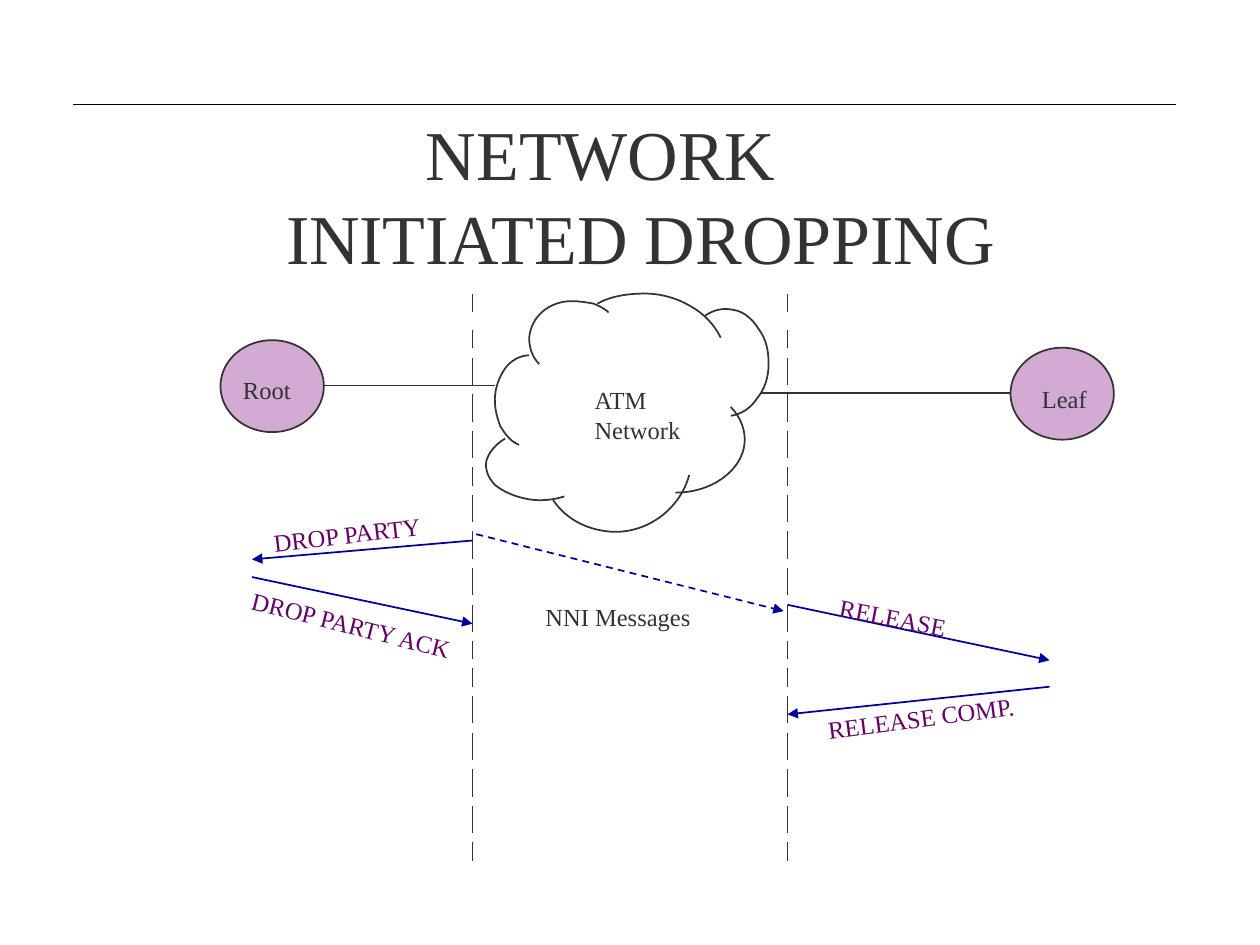
from itertools import accumulate
from math import atan2, ceil, cos, pi, sin, tan, tau

from lxml.etree import SubElement
from pptx import Presentation
from pptx.dml.color import RGBColor
from pptx.enum.dml import MSO_LINE
from pptx.enum.shapes import MSO_CONNECTOR, MSO_SHAPE
from pptx.enum.text import MSO_ANCHOR, MSO_AUTO_SIZE, PP_ALIGN
from pptx.oxml.ns import qn
from pptx.util import Pt

PX = 9144  # EMU per px, 100 px to the inch
WIDTH, HEIGHT = 1000, 750

BLACK = RGBColor(0x00, 0x00, 0x00)
CHARCOAL = RGBColor(0x33, 0x33, 0x33)
LILAC = RGBColor(0xD2, 0xAA, 0xD2)
NAVY = RGBColor(0x00, 0x00, 0x99)
PURPLE = RGBColor(0x66, 0x00, 0x66)

# title line, left indent
TITLE = [("NETWORK", 111), ("INITIATED DROPPING", 0)]
TITLE_BOX = (217, 83, 589, 144)
HEADER_RULE = (58, 83, 933, 83)

# each boundary is a column of dashes; dash lengths are in units
BOUNDARIES = [375, 625]
BOUNDARY_TOP, BOUNDARY_HEIGHT = 233, 450
DASHES = [2, 2, 3, 3, 3, 2, 3, 3, 3, 3, 2, 2, 3, 3, 3, 3, 2]
GAPS = [0, 2] + [1] * (len(DASHES) - 2)

# ellipse box, then the clockwise start and end points of the arc on it
CLOUD_ARCS = [
    ((420, 239, 68, 61), (428, 289), (454, 239)),
    ((393, 282, 54, 73), (412, 353), (420, 282)),
    ((420, 239, 68, 36), (454, 239), (483, 248)),
    ((441, 233, 136, 110), (474, 241), (572, 268)),
    ((386, 342, 86, 55), (449, 395), (402, 349)),
    ((427, 300, 122, 122), (547, 377), (439, 397)),
    ((482, 306, 109, 85), (579, 323), (536, 391)),
    ((542, 245, 68, 85), (559, 252), (580, 330)),
]

NODES = [(175, 270, 82, 73), (802, 276, 82, 73)]
LINKS = [(257, 306, 393, 306), (802, 312, 604, 312)]

NNI_MESSAGE = (378, 424, 622, 485)
SIGNALS = [
    (833, 545, 625, 567),
    (375, 429, 200, 444),
    (200, 458, 375, 495),
    (625, 480, 833, 524),
]

# lines, box, rotation, colour
LABELS = [
    (["ATM", "Network"], (462, 301, 92, 57), 0, CHARCOAL),
    (["Root"], (183, 293, 64, 34), 0, CHARCOAL),
    (["Leaf"], (817, 300, 62, 34), 0, CHARCOAL),
    (["NNI Messages"], (423, 473, 140, 34), 0, CHARCOAL),
    (["RELEASE"], (656, 474, 112, 34), 10.7, PURPLE),
    (["DROP PARTY"], (207, 407, 141, 34), -6.6, PURPLE),
    (["DROP PARTY ACK"], (188, 480, 187, 34), 14.3, PURPLE),
    (["RELEASE COMP."], (647, 553, 170, 34), -7.2, PURPLE),
]

TITLE_FRAME = {"word_wrap": True, "auto_size": MSO_AUTO_SIZE.NONE,
               "vertical_anchor": MSO_ANCHOR.TOP}
LABEL_FRAME = {"word_wrap": True, "auto_size": MSO_AUTO_SIZE.NONE,
               "vertical_anchor": MSO_ANCHOR.TOP}


def emu(lengths):
    return [round(length * PX) for length in lengths]


def apply(target, values):
    for name, value in values.items():
        setattr(target, name, value)


def write(frame, lines, size, color, frame_format):
    """Put one paragraph per line into the frame and return the paragraphs."""
    apply(frame, frame_format)
    frame.text = "\n".join(lines)
    for paragraph in frame.paragraphs:
        paragraph.alignment = PP_ALIGN.LEFT
        apply(paragraph.font, {"name": "Times New Roman", "size": Pt(size)})
        paragraph.font.color.rgb = color
    return frame.paragraphs


def add_title(slide):
    title = slide.shapes.title
    apply(title, dict(zip(("left", "top", "width", "height"), emu(TITLE_BOX))))
    lines = [line for line, _ in TITLE]
    paragraphs = write(title.text_frame, lines, 40, CHARCOAL, TITLE_FRAME)
    for paragraph, (_, indent) in zip(paragraphs, TITLE):
        paragraph._p.get_or_add_pPr().set("marL", str(indent * PX))


def add_line(slide, ends, color=CHARCOAL, width=1, arrow=False, dash=None):
    connector = slide.shapes.add_connector(MSO_CONNECTOR.STRAIGHT, *emu(ends))
    connector.line.color.rgb = color
    apply(connector.line, {"width": Pt(width), "dash_style": dash})
    if arrow:
        SubElement(connector.line._get_or_add_ln(), qn("a:tailEnd"), type="triangle")
    SubElement(connector._element.spPr, qn("a:effectLst"))


def add_boundary(slide, x):
    unit = BOUNDARY_HEIGHT / (sum(DASHES) + sum(GAPS))
    ends = accumulate(gap + dash for gap, dash in zip(GAPS, DASHES))
    for dash, end in zip(DASHES, ends):
        bottom = BOUNDARY_TOP + end * unit
        add_line(slide, (x, bottom - dash * unit, x, bottom))


def outline(shape):
    shape.shadow.inherit = False
    shape.line.color.rgb = CHARCOAL
    shape.line.width = Pt(1)


def arc_points(box, start, end):
    """Return the start point, then three Bézier points for every piece of the arc."""
    left, top, width, height = box
    rx, ry = width / 2, height / 2
    cx, cy = left + rx, top + ry
    first, last = (atan2((y - cy) / ry, (x - cx) / rx) for x, y in (start, end))
    sweep = (last - first) % tau
    pieces = ceil(sweep / (pi / 4))
    step = sweep / pieces
    pull = 4 / 3 * tan(step / 4)

    def point(angle, along=0):
        return (cx + rx * (cos(angle) - along * sin(angle)),
                cy + ry * (sin(angle) + along * cos(angle)))

    points = [point(first)]
    for piece in range(pieces):
        begin, finish = first + piece * step, first + (piece + 1) * step
        points += [point(begin, pull), point(finish, -pull), point(finish)]
    return points


def add_arc(slide, points):
    """Build an open outline, then turn every three segments into one Bézier curve."""
    builder = slide.shapes.build_freeform(*points[0], scale=PX)
    builder.add_line_segments(points[1:], close=False)
    arc = builder.convert_to_shape()
    arc.fill.background()
    outline(arc)
    path = next(arc._element.iter(qn("a:path")))
    segments = path.findall(qn("a:lnTo"))
    for first in range(0, len(segments), 3):
        curve = SubElement(path, qn("a:cubicBezTo"))
        for segment in segments[first:first + 3]:
            curve.append(segment[0])
            path.remove(segment)


def add_node(slide, box):
    node = slide.shapes.add_shape(MSO_SHAPE.OVAL, *emu(box))
    node.fill.solid()
    node.fill.fore_color.rgb = LILAC
    outline(node)


def main():
    deck = Presentation()
    deck.slide_width, deck.slide_height = emu((WIDTH, HEIGHT))
    slide = deck.slides.add_slide(deck.slide_layouts[5])

    add_line(slide, HEADER_RULE, BLACK, 0.75)
    add_title(slide)
    for x in BOUNDARIES:
        add_boundary(slide, x)
    for box, start, end in CLOUD_ARCS:
        # scaled up before the builder rounds to whole units
        add_arc(slide, arc_points(box, start, end))
    for box in NODES:
        add_node(slide, box)
    for ends in LINKS:
        add_line(slide, ends)
    add_line(slide, NNI_MESSAGE, NAVY, arrow=True, dash=MSO_LINE.DASH)
    for ends in SIGNALS:
        add_line(slide, ends, NAVY, arrow=True)
    for lines, box, rotation, color in LABELS:
        label = slide.shapes.add_textbox(*emu(box))
        label.rotation = rotation
        write(label.text_frame, lines, 14, color, LABEL_FRAME)

    deck.save("out.pptx")


if __name__ == "__main__":
    main()
